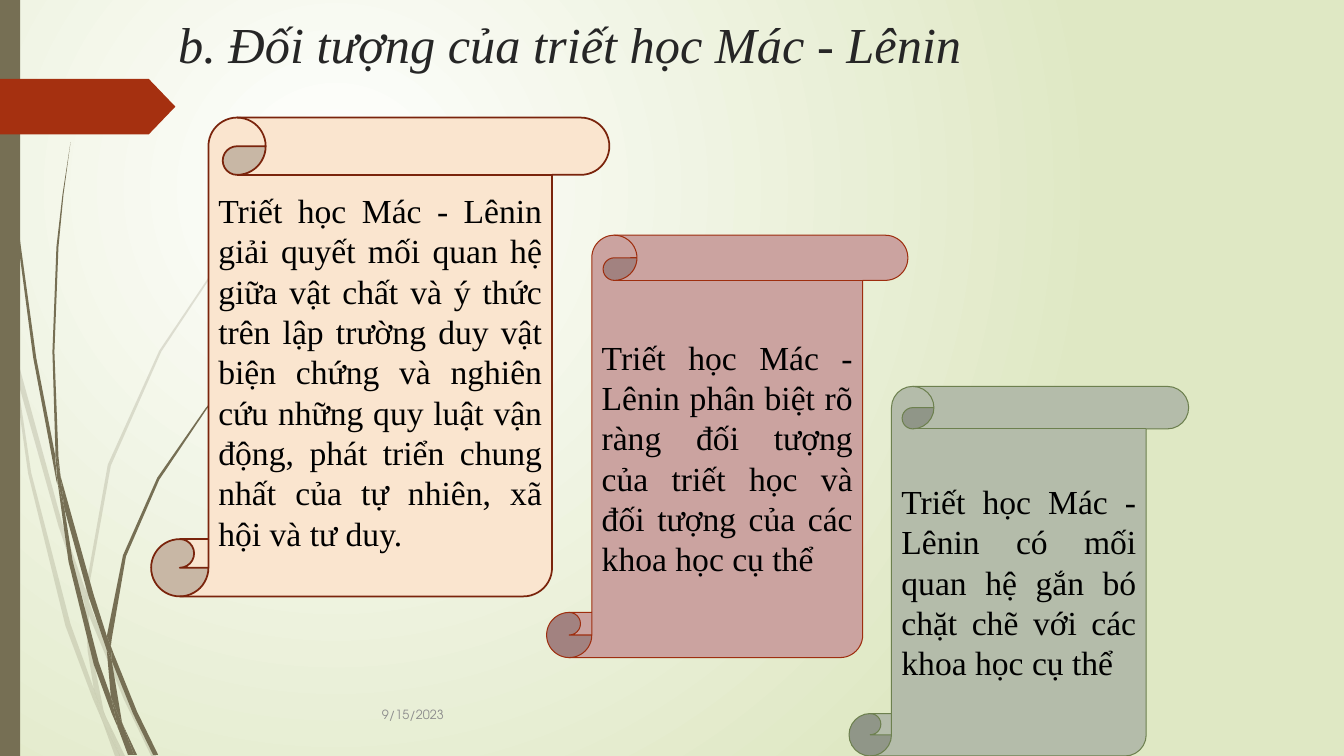
import pptx
import pptx.dml.color
import pptx.enum.shapes
import pptx.enum.text
import pptx.oxml
import pptx.oxml.ns
import pptx.util

Pt = pptx.util.Pt
PRESET = pptx.enum.shapes.MSO_SHAPE
ALIGN = pptx.enum.text.PP_ALIGN
ANCHOR = pptx.enum.text.MSO_ANCHOR
WIDTH, HEIGHT = 960, 540
SERIF = "Times New Roman"
OLIVE = "766F54"

# Outlines of the grass blades on a fine grid
GRASS_GRID = 0.72
PALE_BLADES = [
    [(11, 350), (9, 322), (0, 282), (0, 299), (10, 344)],
    [(58, 522), (84, 599), (85, 586), (62, 520), (14, 345), (17, 376)],
    [(92, 607), (88, 596), (88, 610), (123, 694), (150, 750), (155, 750), (127, 692)],
    [(119, 750), (124, 750), (105, 711)],
    [(93, 683), (70, 619), (31, 469), (17, 376), (11, 350), (28, 470), (65, 621),
     (92, 693), (101, 714), (99, 707)],
    [(84, 599), (87, 646), (93, 683), (96, 692), (105, 711), (103, 706), (91, 646),
     (88, 610), (88, 608)],
    [(88, 584), (110, 462), (160, 349), (229, 245), (268, 198), (290, 175), (312, 154),
     (312, 153), (289, 175), (268, 197), (228, 244), (158, 348), (107, 461), (85, 584),
     (85, 586), (88, 596)],
    [(101, 714), (114, 750), (119, 750)],
    [(88, 608), (88, 610), (88, 596), (85, 586), (84, 599)],
    [(96, 692), (93, 683), (99, 707), (101, 714), (119, 750), (105, 711)],
]
DARK_BLADES = [
    [(7, 110), (17, 233), (33, 355), (56, 477), (57, 481), (55, 457), (55, 453),
     (36, 355), (19, 232), (8, 109), (5, 48), (4, 0), (3, 0), (4, 48)],
    [(88, 592), (106, 645), (106, 633), (106, 631), (93, 590), (60, 472), (64, 505)],
    [(113, 649), (110, 641), (111, 656), (132, 708), (152, 749), (157, 749), (136, 706)],
    [(110, 691), (98, 657), (72, 556), (64, 505), (57, 477), (68, 557), (93, 659),
     (111, 708), (117, 722), (116, 717)],
    [(60, 472), (58, 453), (54, 349), (58, 245), (63, 193), (70, 141), (62, 193),
     (56, 245), (52, 349), (55, 449)],
    [(133, 749), (136, 749), (122, 719)],
    [(57, 477), (64, 505), (60, 472), (55, 449), (55, 453)],
    [(111, 633), (125, 552), (158, 476), (205, 406), (231, 374), (245, 359), (261, 344),
     (260, 344), (245, 358), (231, 373), (204, 405), (156, 474), (122, 551), (106, 631),
     (110, 641)],
    [(117, 722), (127, 749), (131, 749)],
    [(106, 645), (110, 691), (116, 706), (122, 719), (121, 716), (111, 656), (109, 651)],
    [(106, 645), (109, 651), (111, 656), (110, 641), (106, 631), (106, 633)],
    [(116, 706), (110, 691), (116, 717), (117, 722), (130, 749), (133, 749), (122, 719)],
]

SCROLLS = [
    dict(box=(108, 84, 327.3, 342), fill="FAE5CF", line="7A240C", weight=1.25,
         words="Triết học Mác - Lênin giải quyết mối quan hệ giữa vật chất và ý thức trên "
               "lập trường duy vật biện chứng và nghiên cứu những quy luật vận động, phát "
               "triển chung nhất của tự nhiên, xã hội và tư duy."),
    dict(box=(390.5, 168, 258, 301.7), fill="CBA3A0", line="9E2E0F", weight=0.75,
         words="Triết học Mác - Lênin phân biệt rõ ràng đối tượng của triết học và "
               "đối tượng của các khoa học cụ thể"),
    dict(box=(606.5, 276, 242.6, 264), fill="B4BCAA", line="6D804F", weight=0.75,
         words="Triết học Mác - Lênin có mối quan hệ gắn bó chặt chẽ với các khoa học cụ thể"),
]


def colour(value):
    return pptx.dml.color.RGBColor.from_string(value)


def apply(target, formats):
    for name, value in formats.items():
        setattr(target, name, value)


def write(frame, words, ink, align, anchor, **font):
    apply(frame, dict(word_wrap=True, vertical_anchor=anchor, text=words))
    paragraph = frame.paragraphs[0]
    paragraph.alignment = align
    run_font = paragraph.runs[0].font
    apply(run_font, font)
    run_font.color.rgb = colour(ink)


def paint(shape, fill, line=None, weight=0):
    shape.shadow.inherit = False
    shape.fill.solid()
    shape.fill.fore_color.rgb = colour(fill)
    if line:
        shape.line.color.rgb = colour(line)
        shape.line.width = Pt(weight)
    else:
        shape.line.fill.background()


def add_preset(slide, preset, box):
    return slide.shapes.add_shape(preset, *map(Pt, box))


def add_blade(slide, left, top, outline, opacity):
    builder = slide.shapes.build_freeform(*outline[0], scale=Pt(GRASS_GRID))
    builder.add_line_segments(outline[1:], close=True)
    blade = builder.convert_to_shape(Pt(left), Pt(top))
    paint(blade, OLIVE)
    if opacity < 100:
        ink = blade.element.spPr.find(".//" + pptx.oxml.ns.qn("a:srgbClr"))
        ink.append(pptx.oxml.parse_xml(
            f'<a:alpha {pptx.oxml.ns.nsdecls("a")} val="{opacity * 1000}"/>'))


def add_background(slide):
    fill = slide.background.fill
    fill.gradient()
    for stop, position, ink in zip(fill.gradient_stops, (0, 1), ("FFFFFF", "DFE8C4")):
        stop.position = position
        stop.color.rgb = colour(ink)
    linear = slide.element.find(".//" + pptx.oxml.ns.qn("a:lin"))
    linear.getparent().replace(linear, pptx.oxml.parse_xml(
        f'<a:path {pptx.oxml.ns.nsdecls("a")} path="circle">'
        '<a:fillToRect l="50000" t="50000" r="100000" b="100000"/></a:path>'))


def add_side_decoration(slide, box):
    left, top, width, height = box
    # Grass
    for blades, opacity in ((PALE_BLADES, 20), (DARK_BLADES, 100)):
        for outline in blades:
            add_blade(slide, left, top, outline, opacity)
    # Edge bar and red tag
    paint(add_preset(slide, PRESET.RECTANGLE, (left, top, 14.4, height)), OLIVE)
    tag = add_preset(slide, PRESET.PENTAGON, (left, top + 56.3, width, 39.8))
    tag.adjustments[0] = 0.48
    paint(tag, "A53010")


def add_title(slide, box):
    title = slide.shapes.title
    apply(title, dict(zip(("left", "top", "width", "height"), map(Pt, box))))
    write(title.text_frame, "b. Đối tượng của triết học Mác - Lênin", "262626",
          ALIGN.LEFT, ANCHOR.TOP, name=SERIF, size=Pt(36), italic=True)


def add_date(slide, box):
    date = slide.shapes.add_textbox(*map(Pt, box))
    write(date.text_frame, "9/15/2023", "8C8C8C", ALIGN.RIGHT, ANCHOR.MIDDLE,
          name="TeX Gyre Adventor", size=Pt(9))


def add_scroll(slide, box, fill, line, weight, words):
    scroll = add_preset(slide, PRESET.VERTICAL_SCROLL, box)
    paint(scroll, fill, line, weight)
    write(scroll.text_frame, words, "000000", ALIGN.JUSTIFY, ANCHOR.MIDDLE,
          name=SERIF, size=Pt(24))


def main():
    deck = pptx.Presentation()
    apply(deck, dict(slide_width=Pt(WIDTH), slide_height=Pt(HEIGHT)))
    slide = deck.slides.add_slide(deck.slide_layouts.get_by_name("Title Only"))
    add_background(slide)
    add_side_decoration(slide, (0, 0, 125.3, HEIGHT))
    add_title(slide, (120, 6, 720, 78))
    add_date(slide, (156, 491.5, 168, 37.5))
    for scroll in SCROLLS:
        add_scroll(slide, **scroll)
    deck.save("out.pptx")


if __name__ == "__main__":
    main()
